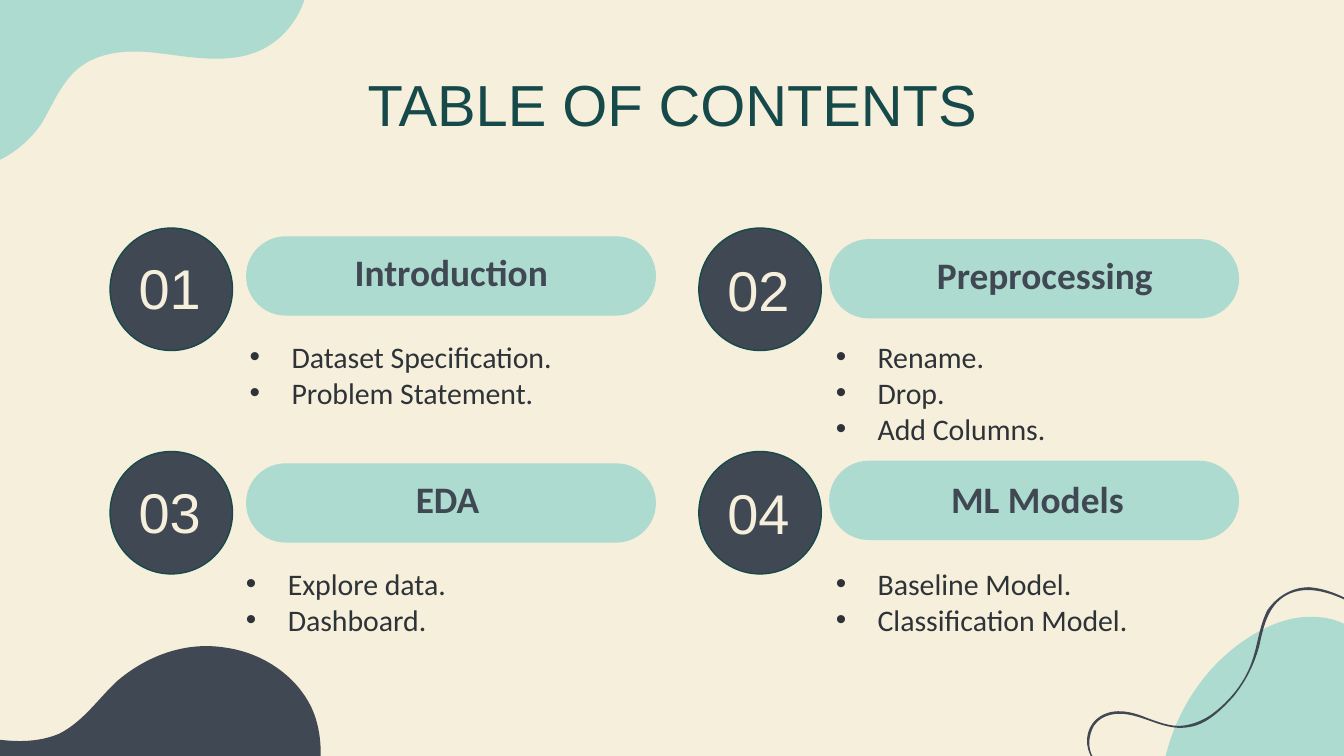
from lxml.etree import SubElement
from pptx import Presentation
from pptx.dml.color import RGBColor
from pptx.enum.shapes import MSO_SHAPE
from pptx.enum.text import MSO_ANCHOR, MSO_AUTO_SIZE, PP_ALIGN
from pptx.oxml.ns import qn
from pptx.util import Pt

COLORS = {"cream": "F6EFDC", "mint": "ADDBD0", "slate": "3F4853",
          "teal": "164A4A", "ink": "2E3338"}

TITLE_FONT = {"name": "Arial", "size": Pt(31), "bold": False}
NUMBER_FONT = {"name": "Arial", "size": Pt(30), "bold": False}
HEADING_FONT = {"name": "Calibri", "size": Pt(20), "bold": True}
ITEM_FONT = {"name": "Calibri", "size": Pt(16), "bold": False}
CENTERED = {"alignment": PP_ALIGN.CENTER}
HEADING_FORMAT = {"alignment": PP_ALIGN.CENTER, "line_spacing": 0.8}
ITEM_FORMAT = {"alignment": PP_ALIGN.LEFT}

CIRCLE_LEFTS = (59, 374.4)
CIRCLE_TOPS = (122.2, 241.9)
CIRCLE_SIZE = 65.6
PILL_LEFTS = (131.8, 444.2)
PILL_SIZE = (219.6, 42.5)
LIST_TOPS = (181.4, 303.1)
BULLET_INDENT = 22.4

SECTIONS = [
    {"heading": "Introduction", "items": ["Dataset Specification.", "Problem Statement."],
     "pill_top": 126.6, "heading_box": (133.8, 126.6, 216),
     "list_left": 133.8, "list_height": 40.3, "number_top": 126},
    {"heading": "Preprocessing", "items": ["Rename.", "Drop.", "Add Columns."],
     "pill_top": 128.1, "heading_box": (444.2, 128.1, 231.1),
     "list_left": 447.8, "list_height": 58.3, "number_top": 127.4},
    {"heading": "EDA", "items": ["Explore data.", "Dashboard."],
     "pill_top": 248.2, "heading_box": (131.8, 248.2, 216),
     "list_left": 131.8, "list_height": 40.3, "number_top": 246.2},
    {"heading": "ML Models", "items": ["Baseline Model.", "Classification Model."],
     "pill_top": 246.8, "heading_box": (447.8, 248.2, 216),
     "list_left": 447.8, "list_height": 40.3, "number_top": 246.8},
]

CORNER_HILL = [
    (703.4, 330.5),
    (702.7, 330.5, 702, 330.5, 701.3, 330.5),
    (689.8, 330.5, 678.2, 335.5, 668.2, 342),
    (645.1, 357.1, 629.3, 381.6, 623.5, 409),
    (727.9, 409),
    (735.8, 398.9, 741.6, 388.1, 742.3, 378),
    (744.5, 352.8, 728.6, 330.5, 703.4, 330.5),
]
BOTTOM_WAVE = [
    (168.5, 383),
    (161.3, 363.6, 141.8, 349.9, 121, 347),
    (99.4, 343.4, 78.5, 351.4, 62.6, 365),
    (52.6, 374.4, 44.6, 386.6, 31.7, 393.1),
    (13, 401, -9.4, 395.3, -28.8, 390.2),
    (-38.9, 387.4, -50.4, 385.2, -60.5, 385.2),
    (-60.5, 422.6),
    (169.2, 422.6),
    (172.8, 409, 172.8, 395.3, 168.5, 383),
]
TOP_BLOB = [
    (164.9, -15.1),
    (164.2, -20.2, 162.7, -26.6, 159.8, -31),
    (136.8, -62.6, 92.2, -23, 65.5, -47.5),
    (53.3, -59, 49.7, -67, 29.5, -60.5),
    (13, -55.4, -0.7, -41.8, -3.6, -24.5),
    (-5, -15.8, -3.6, -6.5, -4.3, 2.9),
    (-4.3, 7.9, -5, 13.7, -7.9, 18),
    (-16.6, 32.4, -36.7, 34.6, -45.4, 49),
    (-54, 64.8, -40.3, 86.4, -23, 89.3),
    (-5, 92.2, 12.2, 80.6, 22.3, 66.2),
    (28.1, 56.2, 32.4, 45.4, 41, 37.4),
    (51.8, 28.1, 67, 26.6, 81.4, 28.1),
    (83.5, 28.1, 85.7, 28.8, 87.8, 28.8),
    (104.4, 31, 121.7, 33.8, 136.8, 28.1),
    (154.1, 21.6, 166.3, 2.9, 164.9, -15.1),
]
CURL = [
    (731.5, 326.2),
    (721.4, 320.4, 712.1, 315.4, 701.3, 314.6),
    (691.9, 314.6, 684, 319.7, 679, 326.9),
    (674.6, 335.5, 673.9, 344.9, 671, 353.5),
    (667.4, 365, 658.8, 375.8, 648.7, 383),
    (644.4, 385.9, 639.4, 388.1, 633.6, 388.8),
    (627.1, 389.5, 619.9, 386.6, 614.2, 384.5),
    (605.5, 380.9, 595.4, 378.7, 587.5, 385.2),
    (581, 391, 581, 400.3, 585.4, 406.8),
    (587.5, 410.4, 591.1, 414, 594, 416.9),
    (598.3, 421.2, 601.9, 426.2, 604.1, 432),
    (606.2, 439.9, 606.2, 448.6, 604.1, 456.5),
    (603.4, 457.2, 604.8, 457.9, 604.8, 457.2),
    (607.7, 447.8, 607.7, 437.8, 604.1, 429.1),
    (601.9, 424.8, 599.8, 421.2, 596.9, 417.6),
    (592.6, 413.3, 588.2, 410.4, 585.4, 405.4),
    (582.5, 400.3, 583.2, 393.8, 586.1, 388.8),
    (590.4, 382.3, 599, 381.6, 605.5, 383),
    (616.3, 385.2, 625.7, 391.7, 637.2, 389.5),
    (646.6, 388.1, 654.5, 380.2, 661, 373),
    (667.4, 365, 671.8, 356.4, 674.6, 346.3),
    (676.8, 336.2, 679, 324.7, 689, 319),
    (700.6, 312.5, 715, 318.2, 725.8, 324),
    (727.2, 325.4, 728.6, 326.2, 730.8, 326.9),
    (731.5, 327.6, 732.2, 326.2, 731.5, 326.2),
]


def color(name):
    return RGBColor.from_string(COLORS[name])


def set_attributes(target, values):
    for name, value in values.items():
        setattr(target, name, value)


def style_shape(shape, fill, line=None):
    shape.shadow.inherit = False
    shape.fill.solid()
    shape.fill.fore_color.rgb = color(fill)
    if line:
        shape.line.color.rgb = color(line)
        shape.line.width = Pt(0.75)
    else:
        shape.line.fill.background()


def add_outline(slide, segments, fill):
    ends = [(Pt(segment[-2]), Pt(segment[-1])) for segment in segments]
    builder = slide.shapes.build_freeform(*ends[0])
    builder.add_line_segments(ends[1:], close=True)
    shape = builder.convert_to_shape()
    style_shape(shape, fill)
    lines = list(shape._element.iter(qn("a:lnTo")))
    for line, segment in zip(lines, segments[1:]):
        if len(segment) == 6:
            line.tag = qn("a:cubicBezTo")
            line.remove(line[0])
            for x, y in zip(segment[::2], segment[1::2]):
                SubElement(line, qn("a:pt"), x=str(Pt(x) - shape.left),
                           y=str(Pt(y) - shape.top))


def add_preset(slide, kind, box, fill, line=None):
    shape = slide.shapes.add_shape(kind, *map(Pt, box))
    style_shape(shape, fill, line)
    return shape


def set_bullet(paragraph):
    properties = paragraph._p.get_or_add_pPr()
    properties.set("marL", str(Pt(BULLET_INDENT)))
    properties.set("indent", str(-Pt(BULLET_INDENT)))
    bullet_color = SubElement(properties, qn("a:buClr"))
    SubElement(bullet_color, qn("a:srgbClr"), val=COLORS["ink"])
    SubElement(properties, qn("a:buFont"), typeface="Arial")
    SubElement(properties, qn("a:buChar"), char="•")


def write_text(shape, lines, font, font_color, layout,
               anchor=MSO_ANCHOR.MIDDLE, bulleted=False):
    frame = shape.text_frame
    set_attributes(frame, {
        "word_wrap": True, "auto_size": MSO_AUTO_SIZE.NONE, "vertical_anchor": anchor,
        "margin_left": 0, "margin_top": 0, "margin_right": 0, "margin_bottom": 0})
    for index, line in enumerate(lines):
        paragraph = frame.add_paragraph() if index else frame.paragraphs[0]
        paragraph.text = line
        set_attributes(paragraph, layout)
        if bulleted:
            set_bullet(paragraph)
        set_attributes(paragraph.font, font)
        paragraph.font.color.rgb = color(font_color)


def add_text(slide, box, *arguments, **options):
    write_text(slide.shapes.add_textbox(*map(Pt, box)), *arguments, **options)


def add_title(slide, text):
    title = slide.shapes.title
    set_attributes(title, {"left": Pt(56.2), "top": Pt(36.7),
                           "width": Pt(607.7), "height": Pt(36)})
    write_text(title, [text], TITLE_FONT, "teal", CENTERED, anchor=MSO_ANCHOR.TOP)


def add_section(slide, index, section):
    row, column = divmod(index, 2)
    circle_left = CIRCLE_LEFTS[column]
    pill = add_preset(slide, MSO_SHAPE.ROUNDED_RECTANGLE,
                      (PILL_LEFTS[column], section["pill_top"], *PILL_SIZE), "mint")
    pill.adjustments[0] = 0.5
    add_preset(slide, MSO_SHAPE.OVAL,
               (circle_left, CIRCLE_TOPS[row], CIRCLE_SIZE, CIRCLE_SIZE), "slate", "teal")
    add_text(slide, (*section["heading_box"], PILL_SIZE[1]), [section["heading"]],
             HEADING_FONT, "slate", HEADING_FORMAT)
    add_text(slide, (section["list_left"], LIST_TOPS[row], 216, section["list_height"]),
             section["items"], ITEM_FONT, "ink", ITEM_FORMAT,
             anchor=MSO_ANCHOR.TOP, bulleted=True)
    add_text(slide, (circle_left + 5.3, section["number_top"], 53.3, 55.4),
             [f"{index + 1:02}"], NUMBER_FONT, "cream", CENTERED)


def main():
    presentation = Presentation()
    set_attributes(presentation, {"slide_width": Pt(720), "slide_height": Pt(405)})
    slide = presentation.slides.add_slide(presentation.slide_layouts[5])
    slide.background.fill.solid()
    slide.background.fill.fore_color.rgb = color("cream")
    for segments, fill in ((CORNER_HILL, "mint"), (BOTTOM_WAVE, "slate"),
                           (TOP_BLOB, "mint"), (CURL, "slate")):
        add_outline(slide, segments, fill)
    add_title(slide, "TABLE OF CONTENTS")
    for index, section in enumerate(SECTIONS):
        add_section(slide, index, section)
    presentation.save("out.pptx")


if __name__ == "__main__":
    main()
